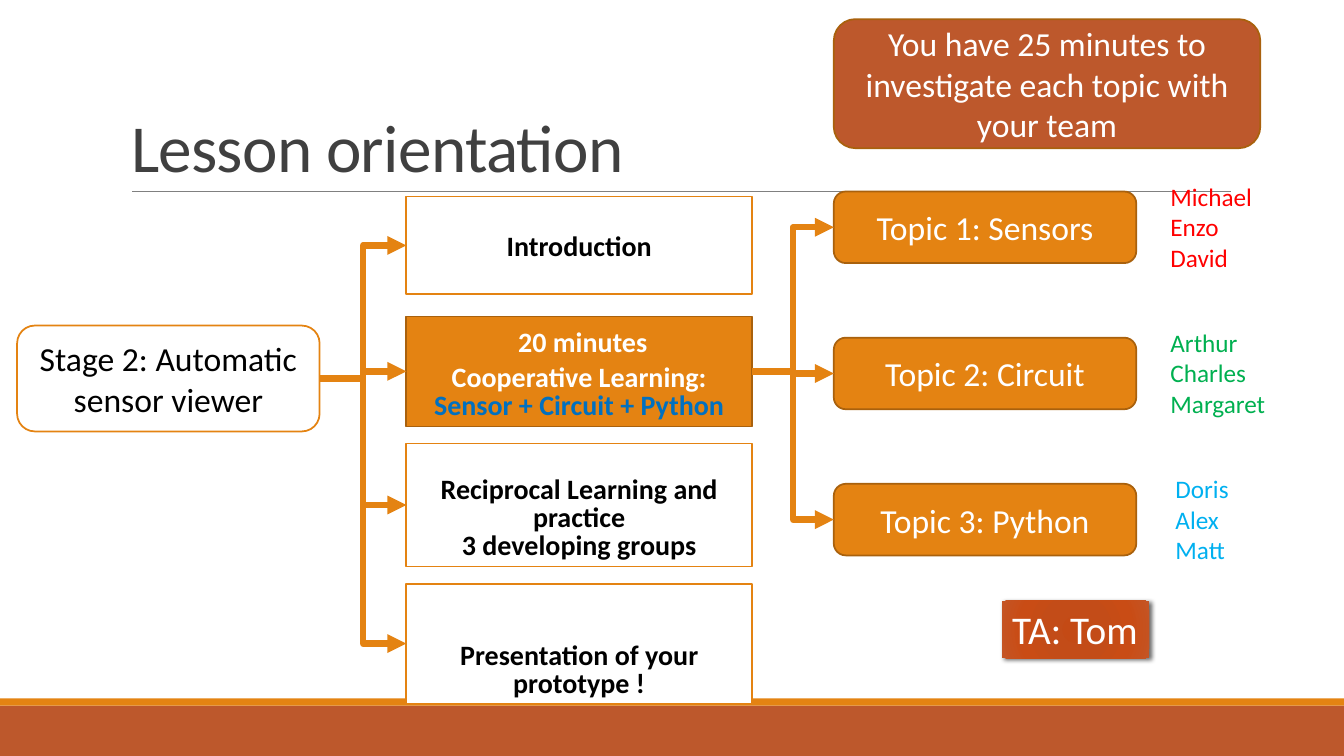
from lxml import etree
from pptx import Presentation
from pptx.dml.color import RGBColor
from pptx.enum.shapes import MSO_CONNECTOR, MSO_SHAPE
from pptx.enum.text import MSO_ANCHOR, PP_ALIGN
from pptx.oxml import parse_xml
from pptx.oxml.ns import nsdecls, qn
from pptx.util import Inches, Pt

ORANGE, DARK_ORANGE, RUST = "E48312", "A9610D", "BD582C"
WHITE, BLACK = "FFFFFF", "000000"
LEFT_SITE, RIGHT_SITE = 1, 3

presentation = Presentation()
presentation.slide_width = Inches(13.33)
presentation.slide_height = Inches(7.5)
slide = presentation.slides.add_slide(presentation.slide_layouts[5])


def add_box(kind, position, fill, line=None):
    shape = slide.shapes.add_shape(kind, *[Inches(value) for value in position])
    shape.shadow.inherit = False
    shape.fill.solid()
    shape.fill.fore_color.rgb = RGBColor.from_string(fill)
    if line:
        shape.line.color.rgb = RGBColor.from_string(line)
        shape.line.width = Pt(1.25)
    else:
        shape.line.fill.background()
    return shape


def write(shape, lines, size, color, align=PP_ALIGN.CENTER,
          anchor=MSO_ANCHOR.MIDDLE, bold=False, spacing=None, wrap=True):
    frame = shape.text_frame
    frame.word_wrap = wrap
    frame.vertical_anchor = anchor
    frame.text = "\n".join(lines)
    for paragraph in frame.paragraphs:
        paragraph.alignment = align
        if spacing:
            paragraph.line_spacing = spacing
        paragraph.font.name = "Calibri"
        paragraph.font.size = Pt(size)
        paragraph.font.bold = bold
        paragraph.font.color.rgb = RGBColor.from_string(color)


# Footer bands and rule under the title
add_box(MSO_SHAPE.RECTANGLE, (0, 7, 13.33, 0.5), RUST)
add_box(MSO_SHAPE.RECTANGLE, (0, 6.93, 13.33, 0.07), ORANGE)
rule = slide.shapes.add_connector(
    MSO_CONNECTOR.STRAIGHT, Inches(1.31), Inches(1.9), Inches(12.21), Inches(1.9))
rule.line.color.rgb = RGBColor.from_string("808080")
rule.line.width = Pt(0.5)
etree.SubElement(rule._element.spPr, qn("a:effectLst"))

# Title
title = slide.shapes.title
title.left, title.top = Inches(1.2), Inches(0.31)
title.width, title.height = Inches(11), Inches(1.59)
write(title, ["Lesson orientation"], 48, "404040", PP_ALIGN.LEFT,
      MSO_ANCHOR.BOTTOM, spacing=0.85)
title.text_frame.paragraphs[0].runs[0]._r.get_or_add_rPr().set("spc", "-50")

# Stage
stage = add_box(MSO_SHAPE.ROUNDED_RECTANGLE, (0.17, 3.23, 3, 1.05), WHITE, ORANGE)
write(stage, ["Stage 2: Automatic sensor viewer"], 24, BLACK)

# Lesson steps: top, height, lines
steps = []
for top, height, lines in [
    (1.95, 0.97, ["Introduction"]),
    (3.14, 1.09, ["Cooperative Learning:", "Sensor + Circuit + Python"]),
    (4.4, 1.22, ["Reciprocal Learning and practice", "3 developing groups"]),
    (5.79, 1.19, ["Presentation of your prototype !"]),
]:
    active = lines[0].startswith("Cooperative")
    intro = lines[0] == "Introduction"
    step = add_box(MSO_SHAPE.RECTANGLE, (4.03, top, 3.43, height),
                   ORANGE if active else WHITE, DARK_ORANGE if active else ORANGE)
    write(step, lines, 20, WHITE if active else BLACK, bold=True,
          anchor=MSO_ANCHOR.MIDDLE if intro else MSO_ANCHOR.BOTTOM,
          spacing=None if intro else Pt(20))
    steps.append(step)
cooperative = steps[1]
cooperative.text_frame.paragraphs[1].font.color.rgb = RGBColor.from_string("0070C0")

duration = slide.shapes.add_textbox(Inches(5.04), Inches(3.17), Inches(1.49), Inches(0.44))
write(duration, ["20 minutes"], 20, WHITE, PP_ALIGN.LEFT, MSO_ANCHOR.TOP,
      bold=True, wrap=False)

# Topics with their teams
topics = []
for index, (topic_name, team_left, color, team) in enumerate([
    ("Sensors", 11.51, "FF0000", ["Michael", "Enzo", "David"]),
    ("Circuit", 11.51, "00B050", ["Arthur", "Charles", "Margaret"]),
    ("Python", 11.56, "00B0F0", ["Doris", "Alex", "Matt"]),
]):
    offset = 1.45 * index
    topic = add_box(MSO_SHAPE.ROUNDED_RECTANGLE, (8.27, 1.9 + offset, 3, 0.71),
                    ORANGE, DARK_ORANGE)
    write(topic, [f"Topic {index + 1}: {topic_name}"], 24, WHITE)
    topics.append(topic)
    members = slide.shapes.add_textbox(
        Inches(team_left), Inches(1.75 + offset), Inches(1.15), Inches(1.01))
    write(members, team, 18, color, PP_ALIGN.LEFT, MSO_ANCHOR.TOP)

# Elbow arrows from the stage to the steps and from the step to the topics
links = [(stage, step) for step in steps] + [(cooperative, topic) for topic in topics]
for source, target in links:
    arrow = slide.shapes.add_connector(MSO_CONNECTOR.ELBOW, 0, 0, 0, 0)
    arrow.begin_connect(source, RIGHT_SITE)
    arrow.end_connect(target, LEFT_SITE)
    arrow.line.color.rgb = RGBColor.from_string(ORANGE)
    arrow.line.width = Pt(4.5)
    etree.SubElement(arrow.line._get_or_add_ln(), qn("a:tailEnd"), type="triangle")
    etree.SubElement(arrow._element.spPr, qn("a:effectLst"))

# Teaching assistant label with radial gradient and soft shadow
assistant = add_box(MSO_SHAPE.RECTANGLE, (9.94, 5.96, 1.46, 0.57), "C44A15")
write(assistant, ["TA: Tom"], 28, WHITE, PP_ALIGN.LEFT, MSO_ANCHOR.TOP, wrap=False)
stops = "".join(
    f'<a:gs pos="{position * 1000}"><a:srgbClr val="{color}"/></a:gs>'
    for position, color in [(0, "C44A15"), (34, "C34C18"), (70, "C94C15"), (100, "C45525")])
properties = assistant._element.spPr
properties.replace(properties.find(qn("a:solidFill")), parse_xml(
    f'<a:gradFill {nsdecls("a")} rotWithShape="1"><a:gsLst>{stops}</a:gsLst>'
    '<a:path path="circle"><a:fillToRect l="100000" t="100000" r="100000" b="100000"/>'
    '</a:path></a:gradFill>'))
properties.find(qn("a:effectLst")).append(parse_xml(
    f'<a:outerShdw {nsdecls("a")} blurRad="{Pt(3.5)}" dist="{Pt(2)}" dir="2700000">'
    '<a:srgbClr val="000000"><a:alpha val="60000"/></a:srgbClr></a:outerShdw>'))

# Time notice
notice = add_box(MSO_SHAPE.ROUNDED_RECTANGLE, (8.27, 0.19, 4.23, 1.28), RUST, DARK_ORANGE)
write(notice, ["You have 25 minutes to investigate each topic with your team"], 24, WHITE)

presentation.save("out.pptx")
